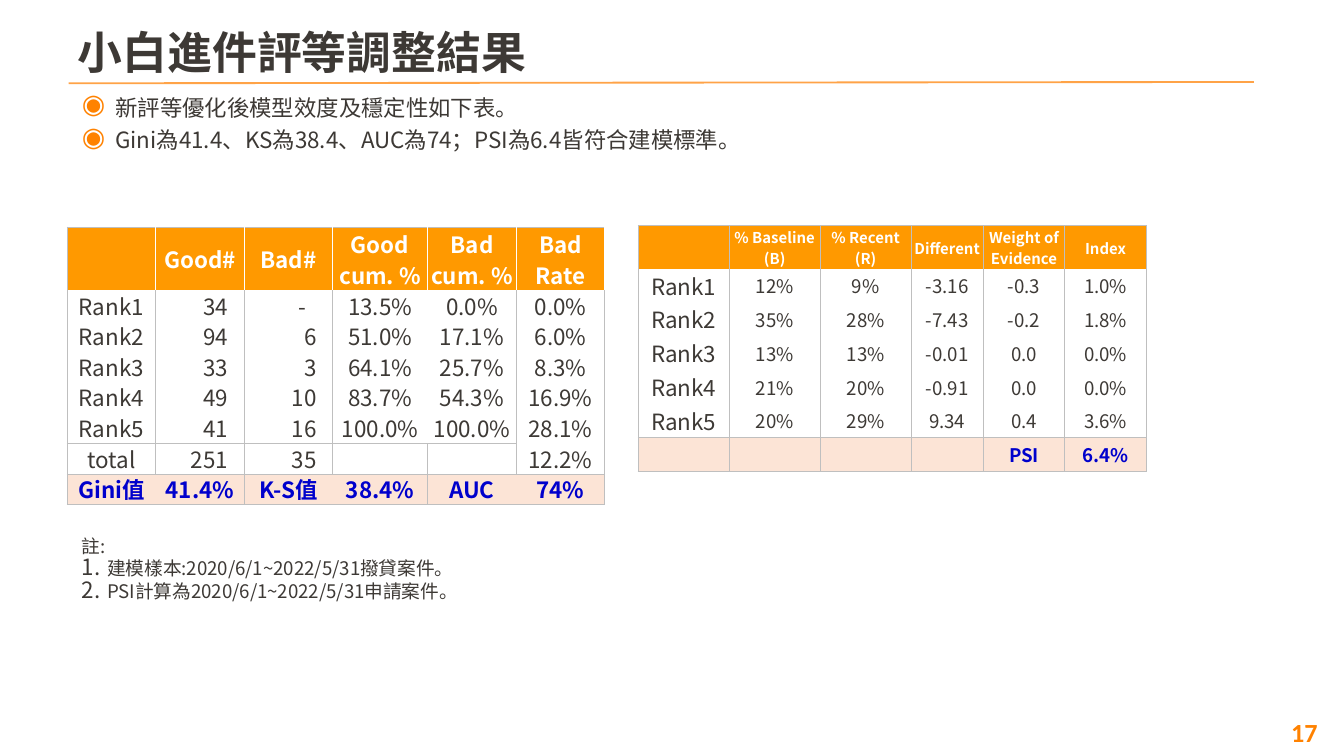
from lxml.etree import SubElement
from pptx import Presentation
from pptx.dml.color import RGBColor
from pptx.enum.shapes import MSO_CONNECTOR
from pptx.enum.text import MSO_ANCHOR as ANCHOR, MSO_AUTO_SIZE as FIT, PP_ALIGN as ALIGN
from pptx.oxml.ns import qn
from pptx.util import Inches, Pt

FONT = "Noto Sans CJK SC"
DARK = RGBColor(0x3D, 0x39, 0x35)
ORANGE = RGBColor(0xFF, 0x82, 0x00)
RULE = RGBColor(0xFF, 0xA3, 0x47)
HEADER = RGBColor(0xFF, 0x99, 0x00)
PEACH = RGBColor(0xFC, 0xE4, 0xD6)
BLUE = RGBColor(0x00, 0x00, 0xCC)
GREY = RGBColor(0xBF, 0xBF, 0xBF)
WHITE = RGBColor(0xFF, 0xFF, 0xFF)


class Deck:
    def __init__(self, prs):
        self.s = prs.slides.add_slide(prs.slide_layouts[5])

    def style(self, p, size, color=DARK, bold=False, align=ALIGN.LEFT, font=FONT):
        p.alignment = align
        for r in p.runs:
            r.font.size, r.font.bold, r.font.name = Pt(size), bold, font
            r.font.color.rgb = color
            SubElement(r.font._element, qn("a:ea"), typeface=font)
        for br in p._p.findall(qn("a:br")):
            SubElement(br, qn("a:rPr"), sz=str(size * 100))

    def frame(self, sp, text, margins, anchor=ANCHOR.TOP):
        tf = sp.text_frame
        tf.text = text
        tf.word_wrap, tf.auto_size, tf.vertical_anchor = True, FIT.NONE, anchor
        tf.margin_left = tf.margin_right = Inches(margins[0])
        tf.margin_top = tf.margin_bottom = Inches(margins[1])
        return tf

    def title(self, text, x, y, w, h):
        sp = self.s.shapes.title
        sp.left, sp.top, sp.width, sp.height = map(Inches, (x, y, w, h))
        tf = self.frame(sp, text, (0.07, 0.04), ANCHOR.MIDDLE)
        self.style(tf.paragraphs[0], 24, bold=True)

    def textbox(self, text, x, y, w, h, margins=(0.1, 0.05), anchor=ANCHOR.TOP):
        sp = self.s.shapes.add_textbox(*map(Inches, (x, y, w, h)))
        return self.frame(sp, text, margins, anchor)

    def bullet(self, p, indent, tag, color=None, **attrs):
        pPr = p._p.get_or_add_pPr()
        pPr.set("marL", str(Inches(indent)))
        pPr.set("indent", str(-Inches(indent)))
        if color is not None:
            SubElement(SubElement(pPr, qn("a:buClr")), qn("a:srgbClr"), val=str(color))
        SubElement(pPr, qn("a:buSzPct"), val="120000")
        SubElement(pPr, qn(tag), **attrs)

    def line(self, x1, y1, x2, y2):
        ln = self.s.shapes.add_connector(MSO_CONNECTOR.STRAIGHT, *map(Inches, (x1, y1, x2, y2)))
        ln.line.color.rgb, ln.line.width = RULE, Pt(1)
        SubElement(ln._element.spPr, qn("a:effectLst"))

    def borders(self, cell, edges):
        """edges maps a side (L, R, T, B) to its colour; other sides have no line."""
        tcPr = cell._tc.get_or_add_tcPr()
        for side in "LRTB":
            ln = SubElement(tcPr, qn("a:ln" + side), w=str(Pt(0.5)))
            if side in edges:
                fill = SubElement(ln, qn("a:solidFill"))
                SubElement(fill, qn("a:srgbClr"), val=str(edges[side]))
            else:
                SubElement(ln, qn("a:noFill"))

    def table(self, rows, x, y, w, h, shares, head, look):
        """shares are relative column widths, head is the height of the first row;
        look(row, column) gives size, colour, bold, fill, edges, right margin."""
        tbl = self.s.shapes.add_table(len(rows), len(shares), *map(Inches, (x, y, w, h))).table
        tbl.first_row = tbl.horz_banding = False
        for col, share in zip(tbl.columns, shares):
            col.width = Inches(w * share / sum(shares))
        for i, row in enumerate(rows):
            tbl.rows[i].height = Inches((h - head) / (len(rows) - 1) if i else head)
            for j, text in enumerate(row):
                size, color, bold, fill, edges, right = look(i, j)
                cell = tbl.cell(i, j)
                self.borders(cell, edges)
                if fill is None:
                    cell.fill.background()
                else:
                    cell.fill.solid()
                    cell.fill.fore_color.rgb = fill
                cell.vertical_anchor = ANCHOR.MIDDLE
                cell.margin_left = cell.margin_top = Inches(0.01)
                cell.margin_bottom = 0
                cell.margin_right = Inches(right or 0.01)
                p = cell.text_frame.paragraphs[0]
                p.text = text
                p.line_spacing = 0.9 if i else 0.95
                self.style(p, size, color, bold, ALIGN.RIGHT if right else ALIGN.CENTER)
                SubElement(p._p, qn("a:endParaRPr"), sz=str(size * 100))


RANKS = [
    ["", "Good#", "Bad#", "Good cum. %", "Bad cum. %", "Bad Rate"],
    ["Rank1", "34", "-", "13.5%", "0.0%", "0.0%"],
    ["Rank2", "94", "6", "51.0%", "17.1%", "6.0%"],
    ["Rank3", "33", "3", "64.1%", "25.7%", "8.3%"],
    ["Rank4", "49", "10", "83.7%", "54.3%", "16.9%"],
    ["Rank5", "41", "16", "100.0%", "100.0%", "28.1%"],
    ["total", "251", "35", "", "", "12.2%"],
    ["Gini值", "41.4%", "K-S值", "38.4%", "AUC", "74%"],
]
STABILITY = [
    ["", "% Baseline\n(B)", "% Recent\n(R)", "Different", "Weight of Evidence", "Index"],
    ["Rank1", "12%", "9%", "-3.16", "-0.3", "1.0%"],
    ["Rank2", "35%", "28%", "-7.43", "-0.2", "1.8%"],
    ["Rank3", "13%", "13%", "-0.01", "0.0", "0.0%"],
    ["Rank4", "21%", "20%", "-0.91", "0.0", "0.0%"],
    ["Rank5", "20%", "29%", "9.34", "0.4", "3.6%"],
    ["", "", "", "", "PSI", "6.4%"],
]


def rank_look(i, j):
    if i == 0:
        edges = {"L": WHITE if j else GREY, "R": WHITE, "T": GREY}
        return 12, WHITE, True, HEADER, edges, None
    if i == 7:  # label and value share one framed pair
        return 12, BLUE, True, PEACH, dict.fromkeys("TBR" if j % 2 else "TBL", GREY), None
    sides = {3: "L", 4: "R"}.get(j, "LR") if i < 6 else "LR"
    if i == 6:
        sides += "B" if j == 5 else "TB"
    elif i == 5 and j < 5:
        sides += "B"
    right = None
    if j in (1, 2):
        right = 0.2 if RANKS[i][j] == "-" else 0.12
    return 12, DARK, False, None, dict.fromkeys(sides, GREY), right


def stability_look(i, j):
    if i == 0:
        return 8, WHITE, True, HEADER, dict.fromkeys("LRT", GREY), None
    if i == 6:
        return 10, BLUE, True, PEACH, dict.fromkeys("LRTB", GREY), None
    edges = dict.fromkeys("LRB" if i == 5 else "LR", GREY)
    return 10 if j else 12, DARK, False, None, edges, None


def main():
    prs = Presentation()
    prs.slide_width, prs.slide_height = Inches(10), Inches(10 * 9 / 16)
    deck = Deck(prs)

    # Page number, title and rule
    tf = deck.textbox("17", 9.41, 5.23, 0.59, 0.44, (0.04, 0.04), ANCHOR.MIDDLE)
    deck.style(tf.paragraphs[0], 14, ORANGE, True, ALIGN.CENTER, "Calibri")
    deck.title("小白進件評等調整結果", 0.51, 0.15, 6.46, 0.47)
    deck.line(0.51, 0.62, 9.33, 0.61)

    # Key findings
    tf = deck.textbox("新評等優化後模型效度及穩定性如下表。\n"
                      "Gini為41.4、KS為38.4、AUC為74；PSI為6.4皆符合建模標準。",
                      0.51, 0.65, 8.82, 1.21)
    for p in tf.paragraphs:
        deck.style(p, 12, align=ALIGN.JUSTIFY)
        p.space_before = Pt(3)
        deck.bullet(p, 0.25, "a:buChar", ORANGE, char="◉")

    # Notes
    tf = deck.textbox("註:\n建模樣本:2020/6/1~2022/5/31撥貸案件。\n"
                      "PSI計算為2020/6/1~2022/5/31申請案件。", 0.51, 3.93, 5, 0.61)
    for i, p in enumerate(tf.paragraphs):
        deck.style(p, 10)
        if i:
            deck.bullet(p, 0.19, "a:buAutoNum", type="arabicPeriod")

    # Model performance and stability tables
    deck.table(RANKS, 0.5, 1.69, 4, 2.05, [0.66] * 3 + [0.71] + [0.66] * 2, 0.47, rank_look)
    deck.table(STABILITY, 4.75, 1.68, 3.78, 1.83, [0.68] * 3 + [0.54] + [0.61] * 2,
               0.32, stability_look)

    prs.save("out.pptx")


if __name__ == "__main__":
    main()
